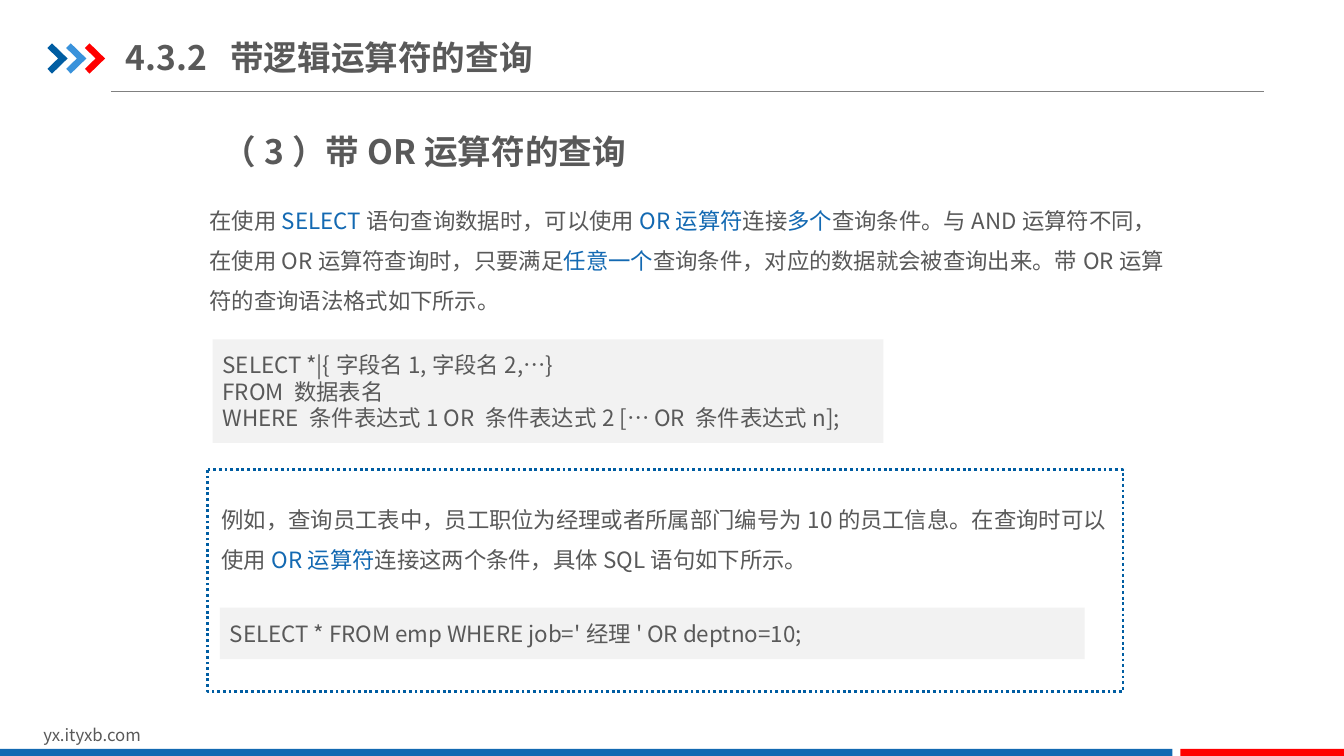
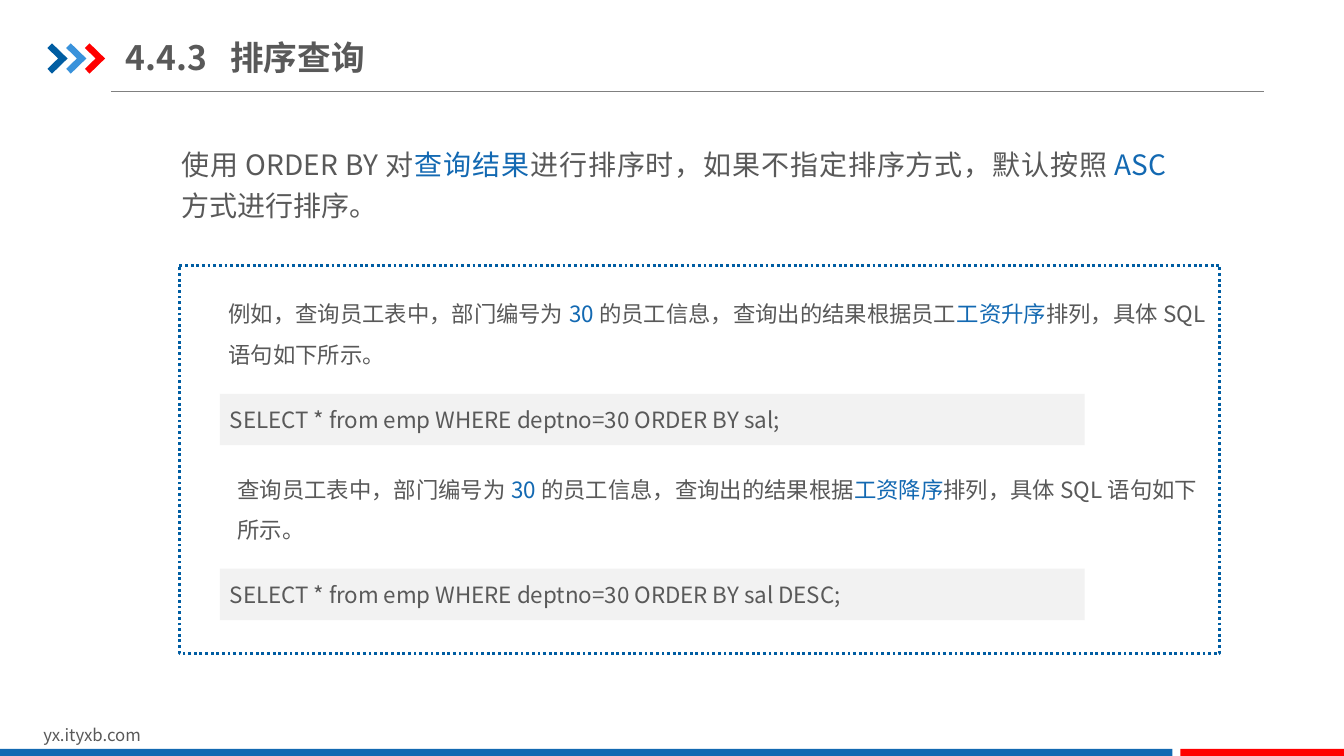
from lxml.etree import SubElement
from pptx import Presentation
from pptx.dml.color import RGBColor
from pptx.enum.dml import MSO_LINE
from pptx.enum.shapes import MSO_CONNECTOR, MSO_SHAPE
from pptx.enum.text import MSO_ANCHOR, MSO_AUTO_SIZE, PP_ALIGN
from pptx.oxml.ns import qn
from pptx.util import Pt

FONT = "Noto Sans CJK SC"
TEXT, BLUE, NAVY, SKY = "595959", "1369B2", "005DA2", "3992DB"
RED, GRAY, PALE, WHITE = "FF0000", "808080", "F2F2F2", "FFFFFF"
INSETS = (7.2, 3.6, 7.2, 3.6)
CHEVRON = [(0, 3.3), (3.3, 0), (14.4, 10.8), (3.3, 21.6), (0, 18.2), (7.6, 10.8)]
CODE_LEFT, CODE_W, CODE_H = 157, 617.8, 36.7
EXAMPLE_H = 65.5


def rgb(hex_color):
    """Return the colour for a hex string."""
    return RGBColor.from_string(hex_color)


def pts(box):
    """Turn lengths in points into slide units."""
    return [Pt(v) for v in box]


def set_font(p, size, bold=False):
    """Set the shared font on a paragraph."""
    f = p.font
    f.name, f.size, f.bold = FONT, Pt(size), bold
    f.color.rgb = rgb(TEXT)
    SubElement(p._p.pPr.find(qn("a:defRPr")), qn("a:ea"), typeface=FONT)


def fill_text(tf, paragraphs, size=16, bold=False, spacing=None,
              align=PP_ALIGN.LEFT, insets=INSETS, anchor=MSO_ANCHOR.TOP):
    """Write paragraphs whose every second piece is highlighted."""
    tf.word_wrap, tf.auto_size = True, MSO_AUTO_SIZE.NONE
    tf.vertical_anchor = anchor
    tf.margin_left, tf.margin_top, tf.margin_right, tf.margin_bottom = pts(insets)
    for i, pieces in enumerate(paragraphs):
        p = tf.add_paragraph() if i else tf.paragraphs[0]
        p.alignment = align
        if spacing:
            p.line_spacing = spacing
        set_font(p, size, bold)
        for j, piece in enumerate(pieces):
            r = p.add_run()
            r.text = piece
            if j % 2:
                r.font.color.rgb = rgb(BLUE)


def add_text(s, box, pieces, **style):
    """Add a text box with one paragraph."""
    fill_text(s.shapes.add_textbox(*pts(box)).text_frame, [pieces], **style)


def paint(sp, color):
    """Give a shape a flat fill without line or shadow."""
    sp.shadow.inherit = False
    sp.fill.solid()
    sp.fill.fore_color.rgb = rgb(color)
    sp.line.fill.background()


def add_box(s, box, color, kind=MSO_SHAPE.RECTANGLE):
    """Add a flat preset shape."""
    sp = s.shapes.add_shape(kind, *pts(box))
    paint(sp, color)
    return sp


def add_code(s, box, lines):
    """Add a pale panel with lines of code."""
    fill_text(add_box(s, box, PALE).text_frame, [[line] for line in lines],
              anchor=MSO_ANCHOR.MIDDLE)


def add_chevrons(s, left, top, pitch):
    """Add the three coloured chevrons beside the title."""
    shapes = s.shapes.add_group_shape().shapes
    for i, color in enumerate((NAVY, SKY, RED)):
        points = [pts((left + i * pitch + x, top + y)) for x, y in CHEVRON]
        fb = shapes.build_freeform(*points[0], scale=1.0)
        fb.add_line_segments(points[1:], close=True)
        paint(fb.convert_to_shape(), color)


def add_title(s, box, number, text):
    """Place the title with its number and a tab stop."""
    sp = s.shapes.title
    sp.left, sp.top, sp.width, sp.height = pts(box)
    p_pr = sp.text_frame.paragraphs[0]._p.get_or_add_pPr()
    tabs = SubElement(p_pr, qn("a:tabLst"))
    SubElement(tabs, qn("a:tab"), pos=str(Pt(74.5)), algn="l")
    fill_text(sp.text_frame, [[f"{number}\t{text}"]], size=24, bold=True,
              insets=(0, 5, 0, 5), anchor=MSO_ANCHOR.MIDDLE)


def add_footer(s, top):
    """Add the address and the two bands at the foot."""
    add_text(s, (23.8, top, 229, 21.6), ["yx.ityxb.com"], size=12)
    add_box(s, (0, top + 21, 837.4, 6), BLUE)
    add_box(s, (843.1, top + 21, 116.9, 6), RED)


def new_slide(prs, number, title):
    """Start a slide with the parts all slides share."""
    s = prs.slides.add_slide(prs.slide_layouts[5])
    rule = s.shapes.add_connector(MSO_CONNECTOR.STRAIGHT, *pts((79.2, 65.5, 903, 65.5)))
    rule.line.color.rgb, rule.line.width = rgb(GRAY), Pt(0.75)
    SubElement(rule._element.spPr, qn("a:effectLst"))
    add_chevrons(s, 33.9, 31, 13.4)
    add_footer(s, 514)
    add_title(s, (90, 20.9, 306.7, 39.6), number, title)
    return s


def add_examples(s, box, examples):
    """Add a dotted frame holding explanations and their code."""
    left, top, width, _ = box
    frame = add_box(s, box, WHITE, MSO_SHAPE.FLOWCHART_PROCESS)
    frame.line.color.rgb, frame.line.width = rgb(NAVY), Pt(2)
    frame.line.dash_style = MSO_LINE.ROUND_DOT
    for dx, dy, gap, pieces, code in examples:
        add_text(s, (left + dx, top + dy, width - dx, EXAMPLE_H), pieces, spacing=1.5)
        add_code(s, (CODE_LEFT, top + dy + EXAMPLE_H + gap, CODE_W, CODE_H), [code])


def or_slide(prs):
    """Build the slide on the OR operator."""
    s = new_slide(prs, "4.3.2", "带逻辑运算符的查询")
    add_text(s, (152, 90, 361.5, 36), ["（3）带OR运算符的查询"], size=24, bold=True)
    add_text(s, (142.6, 134.6, 705.6, 94.3), [
        "在使用", "SELECT", "语句查询数据时，可以使用", "OR运算符", "连接", "多个",
        "查询条件。与AND运算符不同，在使用OR运算符查询时，只要满足", "任意一个",
        "查询条件，对应的数据就会被查询出来。带OR运算符的查询语法格式如下所示。",
    ], spacing=1.5)
    add_code(s, (152, 242.4, 479, 74), [
        "SELECT *|{字段名1,字段名2,…}",
        "FROM 数据表名",
        "WHERE 条件表达式1 OR 条件表达式2 [… OR 条件表达式n];",
    ])
    add_examples(s, (148.3, 335.4, 653.8, 158.4), [
        (2.9, 13, 20.2, [
            "例如，查询员工表中，员工职位为经理或者所属部门编号为10的员工信息。在查询时可以使用",
            "OR运算符", "连接这两个条件，具体SQL语句如下所示。"],
         "SELECT * FROM emp WHERE job='经理' OR deptno=10;"),
    ])


def sort_slide(prs):
    """Build the slide on sorted queries."""
    s = new_slide(prs, "4.4.3", "排序查询")
    add_text(s, (129.6, 100.8, 708.5, 87), [
        "使用ORDER BY对", "查询结果", "进行排序时，如果不指定排序方式，默认按照",
        "ASC", "方式进行排序。",
    ], size=20, spacing=1.2, align=PP_ALIGN.JUSTIFY, insets=(0, 0, 0, 0))
    add_examples(s, (128.2, 189.4, 743, 277.2), [
        (28, 12.2, 14.2, [
            "例如，查询员工表中，部门编号为", "30", "的员工信息，查询出的结果根据员工",
            "工资升序", "排列，具体SQL语句如下所示。"],
         "SELECT * from emp WHERE deptno=30 ORDER BY sal;"),
        (34.5, 137.5, 13.8, [
            "查询员工表中，部门编号为", "30", "的员工信息，查询出的结果根据",
            "工资降序", "排列，具体SQL语句如下所示。"],
         "SELECT * from emp WHERE deptno=30 ORDER BY sal DESC;"),
    ])


def main():
    """Build and save the slides."""
    prs = Presentation()
    prs.slide_width, prs.slide_height = Pt(960), Pt(540)
    or_slide(prs)
    sort_slide(prs)
    prs.save("out.pptx")


if __name__ == "__main__":
    main()
